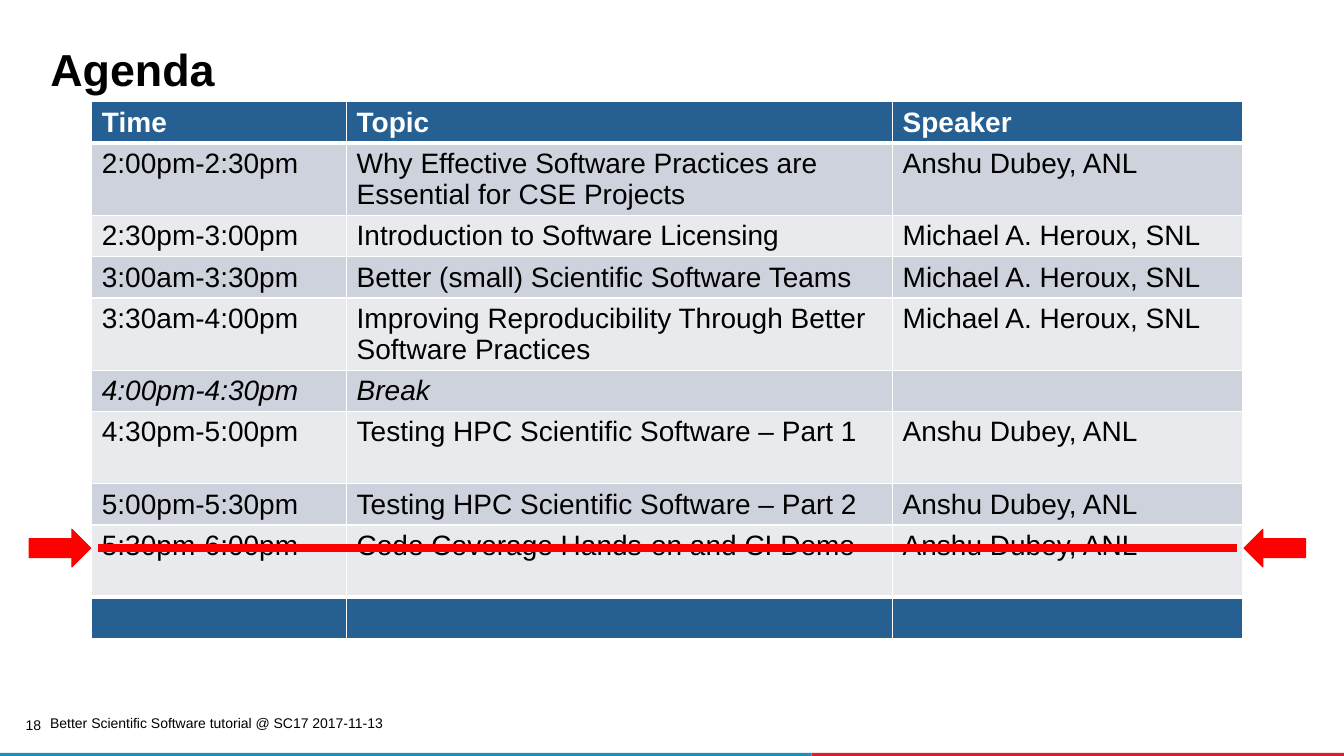
"""Build the tutorial agenda slide with its table and the red marker line."""
from lxml import etree
from pptx import Presentation
from pptx import util as u
from pptx.dml.color import RGBColor
from pptx.enum import shapes, text
from pptx.oxml import ns

THEME = {
    "font": "Arial", "black": "000000", "white": "FFFFFF", "header": "266092",
    "bands": ("CDD2DC", "E8EAEE"), "red": "FF0000",
    "stripe_blue": "1B8DC3", "stripe_red": "DA1F28",
    "title": 32, "table": 20, "footer": 10,
}


def style(para, size, color, bold=False, italic=False):
    """Set the font of a whole paragraph."""
    para.font.name, para.font.size = THEME["font"], u.Pt(size)
    para.font.bold, para.font.italic = bold, italic
    para.font.color.rgb = RGBColor.from_string(color)


def add_filled(kind, left, top, width, height, color):
    """Add a flat shape in one colour."""
    shape = page.shapes.add_shape(kind, u.Pt(left), u.Pt(top), u.Pt(width), u.Pt(height))
    shape.shadow.inherit = False
    shape.fill.solid()
    shape.fill.fore_color.rgb = RGBColor.from_string(color)
    shape.line.fill.background()
    return shape


deck = Presentation()
deck.slide_width, deck.slide_height = u.Pt(960), u.Pt(540)
page = deck.slides.add_slide(deck.slide_layouts[5])

for left, width, color in ((579.5, 380.5, THEME["stripe_red"]), (0, 579.5, THEME["stripe_blue"])):
    add_filled(shapes.MSO_SHAPE.RECTANGLE, left, 537.8, width, 2.2, color)

footer = page.shapes.add_textbox(u.Pt(28.8), u.Pt(509), u.Pt(338), u.Pt(15))
footer.text_frame.word_wrap = True
footer.text_frame.vertical_anchor = text.MSO_ANCHOR.MIDDLE
footer.text_frame.text = "Better Scientific Software tutorial @ SC17 2017-11-13"
style(footer.text_frame.paragraphs[0], THEME["footer"], THEME["black"])

number = page.shapes.add_textbox(u.Pt(13), u.Pt(513.2), u.Pt(16.3), u.Pt(12.2))
frame = number.text_frame
frame.margin_left = frame.margin_top = frame.margin_right = frame.margin_bottom = 0
frame.word_wrap = True
frame.text = "18"
frame.paragraphs[0].alignment = text.PP_ALIGN.RIGHT
frame.paragraphs[0].line_spacing = 0.9
style(frame.paragraphs[0], THEME["footer"], THEME["black"])

agenda = [
    ("Time", "Topic", "Speaker"),
    ("2:00pm-2:30pm", "Why Effective Software Practices are Essential for CSE Projects", "Anshu Dubey, ANL"),
    ("2:30pm-3:00pm", "Introduction to Software Licensing", "Michael A. Heroux, SNL"),
    ("3:00am-3:30pm", "Better (small) Scientific Software Teams", "Michael A. Heroux, SNL"),
    ("3:30am-4:00pm", "Improving Reproducibility Through Better Software Practices", "Michael A. Heroux, SNL"),
    ("4:00pm-4:30pm", "Break", ""),
    ("4:30pm-5:00pm", "Testing HPC Scientific Software – Part 1", "Anshu Dubey, ANL"),
    ("5:00pm-5:30pm", "Testing HPC Scientific Software – Part 2", "Anshu Dubey, ANL"),
    ("5:30pm-6:00pm", "Code Coverage Hands-on and CI Demo", "Anshu Dubey, ANL"),
    ("", "", ""),
]
tall_rows = (1, 4, 6, 8)
last = len(agenda) - 1
table = page.shapes.add_table(len(agenda), 3, u.Pt(65.6), u.Pt(72.7), u.Pt(822), u.Pt(383)).table
table.first_row = table.horz_banding = False
for column, width in zip(table.columns, (182, 390, 250)):
    column.width = u.Pt(width)

for r, entries in enumerate(agenda):
    table.rows[r].height = u.Pt(51.6 if r in tall_rows else 29.5)
    edge_row = r in (0, last)
    fill = THEME["header"] if edge_row else THEME["bands"][(r - 1) % 2]
    widths = {"lnL": 1, "lnR": 1, "lnT": 3 if r in (1, last) else 1, "lnB": 3 if r in (0, last - 1) else 1}
    for c, entry in enumerate(entries):
        cell = table.cell(r, c)
        cell.text = entry
        cell.margin_bottom = 0
        style(cell.text_frame.paragraphs[0], THEME["table"],
              THEME["white"] if edge_row else THEME["black"], edge_row, entries[1] == "Break")
        cell.fill.solid()
        cell.fill.fore_color.rgb = RGBColor.from_string(fill)
        properties = cell._tc.get_or_add_tcPr()
        for position, (side, points) in enumerate(widths.items()):
            border = etree.Element(ns.qn(f"a:{side}"), w=str(u.Pt(points)))
            solid = etree.SubElement(border, ns.qn("a:solidFill"))
            etree.SubElement(solid, ns.qn("a:srgbClr"), val=THEME["white"])
            properties.insert(position, border)

title = page.shapes.title
title.left, title.top, title.width, title.height = u.Pt(28.8), u.Pt(31.8), u.Pt(895.7), u.Pt(40.3)
title.text_frame.text = "Agenda"
title.text_frame.vertical_anchor = text.MSO_ANCHOR.BOTTOM
heading = title.text_frame.paragraphs[0]
heading.alignment = text.PP_ALIGN.LEFT
heading.line_spacing = 0.85
style(heading, THEME["title"], THEME["black"], bold=True)

marker = page.shapes.add_connector(shapes.MSO_CONNECTOR.STRAIGHT, u.Pt(69.8), u.Pt(391.5), u.Pt(883.4), u.Pt(391.5))
marker.line.color.rgb = RGBColor.from_string(THEME["red"])
marker.line.width = u.Pt(6)
etree.SubElement(marker._element.spPr, ns.qn("a:effectLst"))

for left, angle in ((20.9, 0), (888.5, 180)):
    arrow = add_filled(shapes.MSO_SHAPE.RIGHT_ARROW, left, 378, 44, 27, THEME["red"])
    arrow.rotation = angle
    arrow.line.color.rgb = RGBColor.from_string(THEME["red"])
    arrow.line.width = u.Pt(0.75)

deck.save("out.pptx")
